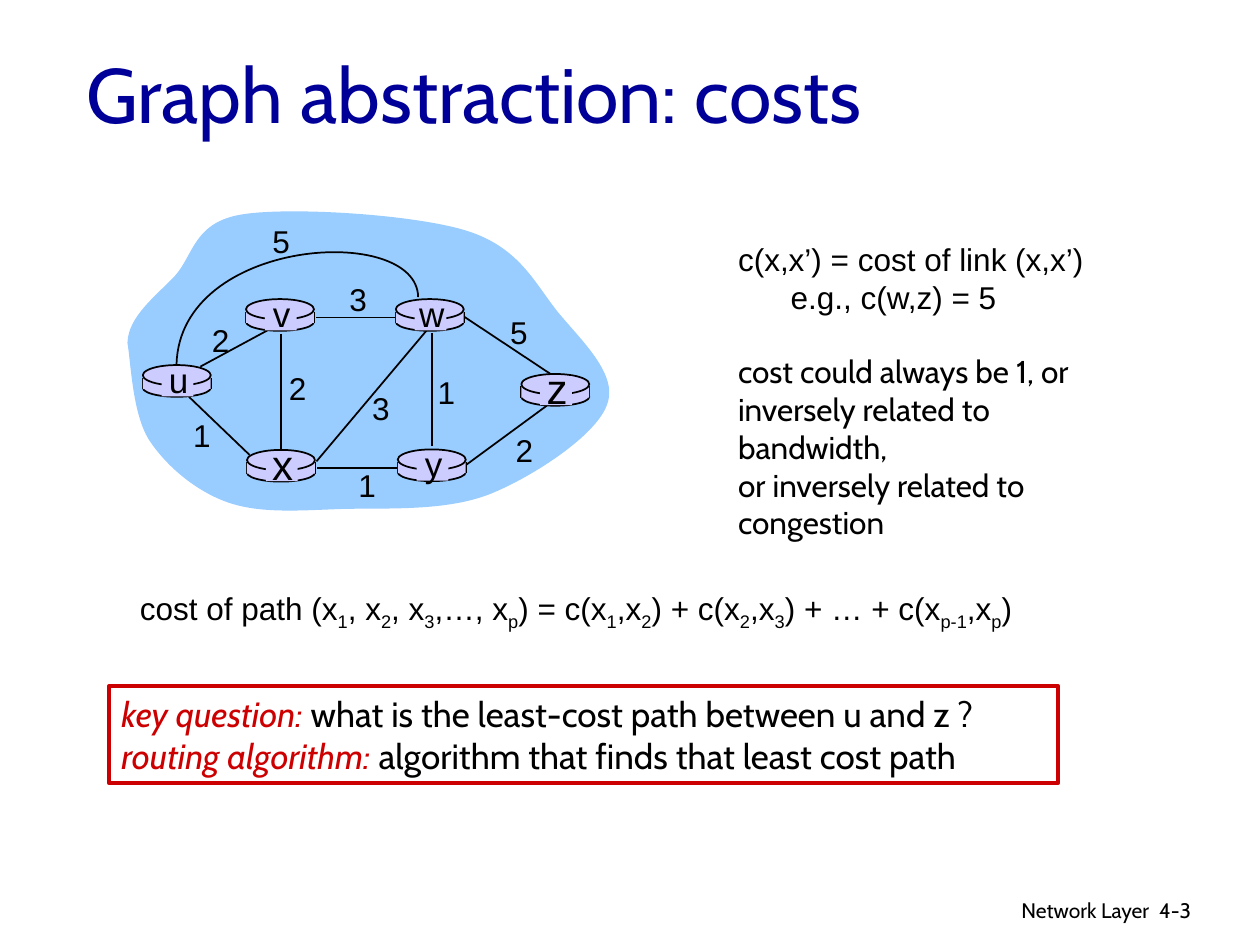
from pptx import Presentation
from pptx.dml.color import RGBColor
from pptx.enum.shapes import MSO_CONNECTOR as LINK, MSO_SHAPE as SHAPE
from pptx.enum.text import MSO_ANCHOR as ANCHOR, PP_ALIGN as ALIGN
from pptx.oxml.ns import qn
from pptx.util import Cm, Pt
from lxml.etree import SubElement

BLACK = RGBColor(0x00, 0x00, 0x00)
NAVY = RGBColor(0x00, 0x00, 0x99)
RED = RGBColor(0xCC, 0x00, 0x00)
SKY = RGBColor(0x99, 0xCC, 0xFF)
LILAC = RGBColor(0xCC, 0xCC, 0xFF)

deck = Presentation()
deck.slide_width, deck.slide_height = Cm(25.4), Cm(19.05)
slide = deck.slides.add_slide(deck.slide_layouts[6])
shapes = slide.shapes


def write(place, text, size, face, color=BLACK, align=ALIGN.LEFT, wrap=True):
    box = shapes.add_textbox(*[Cm(n) for n in place])
    frame = box.text_frame
    frame.word_wrap = wrap
    frame.text = text
    for para in frame.paragraphs:
        para.alignment = align
        for run in para.runs:
            run.font.size, run.font.name = Pt(size), face
            run.font.color.rgb = color
    return frame


def trace(start, curves):
    spots = [spot for curve in curves for spot in curve]
    form = shapes.build_freeform(Cm(start[0]), Cm(start[1]), scale=1.0)
    form.add_line_segments([(Cm(x), Cm(y)) for x, y in spots], close=spots[-1] == start)
    shape = form.convert_to_shape()
    shape.shadow.inherit = False
    steps = list(shape._element.iter(qn("a:lnTo")))
    for i in range(0, 3 * len(curves), 3):
        bend = steps[i].makeelement(qn("a:cubicBezTo"))
        steps[i].addprevious(bend)
        for step in steps[i:i + 3]:
            bend.append(step[0])
            step.getparent().remove(step)
    return shape


write((15.37, 17.96, 8.05, 0.79), "Network Layer", 12, "Cabin", align=ALIGN.RIGHT)
write((23.12, 17.96, 1.88, 0.76), "4-3", 12, "Cabin")
title = write((1.49, 0.61, 21.59, 2.51), "Graph abstraction: costs", 44, "Cabin", NAVY)
title.vertical_anchor = ANCHOR.MIDDLE

cloud = trace((2.57, 6.91), [
    ((2.59, 6.38), (3.12, 5.99), (3.53, 5.56)),
    ((3.91, 5.13), (3.91, 4.47), (4.9, 4.32)),
    ((5.87, 4.17), (8.33, 4.32), (9.4, 4.65)),
    ((10.46, 4.98), (10.77, 5.69), (11.23, 6.27)),
    ((11.71, 6.86), (12.47, 7.54), (12.24, 8.15)),
    ((12.04, 8.76), (10.77, 9.6), (9.88, 9.96)),
    ((8.99, 10.31), (7.82, 10.24), (6.93, 10.26)),
    ((6.07, 10.29), (5.26, 10.36), (4.6, 10.13)),
    ((3.96, 9.91), (3.35, 9.4), (3, 8.86)),
    ((2.67, 8.33), (2.64, 7.32), (2.57, 6.91)),
])
cloud.fill.solid()
cloud.fill.fore_color.rgb = SKY
cloud.line.fill.background()

nodes = [
    ("u", 2.88, 7.64, 20), ("x", 4.98, 9.35, 24), ("v", 4.96, 6.31, 20),
    ("w", 7.98, 6.31, 20), ("y", 8.02, 9.34, 20), ("z", 10.51, 7.82, 24),
]
edges = [
    (4.04, 7.39, 5.54, 6.58), (8.71, 6.71, 8.71, 8.99), (5.66, 6.73, 5.66, 9.09),
    (6.38, 9.3, 8.61, 6.65), (9.4, 9.37, 11.02, 8.18), (8.03, 9.43, 6.4, 9.43),
    (5.03, 9.17, 3.81, 8), (8, 6.4, 6.38, 6.4), (11.1, 7.54, 9.35, 6.38),
]
sides = [(x + dx, y - 0.03, x + dx, y + 0.2) for _, x, y, _ in nodes for dx in (0, 1.37)]
for ends in edges[:1] + sides + edges[1:]:
    line = shapes.add_connector(LINK.STRAIGHT, *[Cm(n) for n in ends])
    line.line.color.rgb, line.line.width = BLACK, Pt(1)
    SubElement(line._element.spPr, qn("a:effectLst"))

parts = [
    (SHAPE.OVAL, 0, 0, 1.37, 0.36, True),
    (SHAPE.RECTANGLE, 0, -0.03, 1.37, 0.23, False),
    (SHAPE.OVAL, 0, -0.28, 1.37, 0.41, True),
    (SHAPE.RECTANGLE, 0.38, -0.23, 0.64, 0.58, False),
]
for name, x, y, size in nodes:
    for kind, dx, dy, w, h, edged in parts:
        part = shapes.add_shape(kind, Cm(x + dx), Cm(y + dy), Cm(w), Cm(h))
        part.shadow.inherit = False
        part.fill.solid()
        part.fill.fore_color.rgb = LILAC
        if edged:
            part.line.color.rgb, part.line.width = BLACK, Pt(1)
        else:
            part.line.fill.background()
    high = 1.09 if size == 20 else 1.27
    write((x + 0.22, y - high / 2, 1, high), name, size, "Arial", align=ALIGN.CENTER, wrap=False)

arc = trace((8.43, 5.99), [((8.41, 4.5), (3.63, 4.78), (3.56, 7.34))])
arc.fill.background()
arc.line.color.rgb, arc.line.width = BLACK, Pt(1)

costs = [
    ("2", 4.02, 6.35), ("2", 5.57, 7.32), ("1", 3.64, 8.26), ("3", 7.25, 7.72),
    ("1", 6.97, 9.28), ("1", 8.57, 7.39), ("2", 10.14, 8.56), ("5", 10.03, 6.19),
    ("3", 6.79, 5.53), ("5", 5.24, 4.35),
]
for cost, x, y in costs:
    write((x, y, 0.86, 1.02), cost, 18, "Arial", align=ALIGN.CENTER, wrap=False)

facts = [
    "c(x,x’) = cost of link (x,x’)", "e.g., c(w,z) = 5", "cost could always be 1, or",
    "inversely related to bandwidth,", "or inversely related to", "congestion",
]
note = write((14.63, 4.71, 8.48, 5.59), "\n".join(facts), 18, "Arial")
note.paragraphs[1]._p.get_or_add_pPr().set("marL", str(Cm(1.06)))
note.paragraphs[2].space_before = Pt(21)
for para in note.paragraphs[2:]:
    para.runs[0].font.name = "Cabin"

sums = write((2.57, 11.75, 18.77, 1.02), "", 18, "Arial").paragraphs[0]
terms = "cost of path (x|1|, x|2|, x|3|,…, x|p|) = c(x|1|,x|2|) + c(x|2|,x|3|) + … + c(x|p-1|,x|p|)"
for i, term in enumerate(terms.split("|")):
    run = sums.add_run()
    run.text = term
    run.font.size, run.font.name = Pt(18), "Arial"
    run.font.color.rgb = BLACK
    if i % 2:
        run._r.get_or_add_rPr().set("baseline", "-25000")

panel = shapes.add_shape(SHAPE.RECTANGLE, Cm(2.2), Cm(13.83), Cm(19.13), Cm(1.96))
panel.shadow.inherit = False
panel.fill.background()
panel.line.color.rgb, panel.line.width = RED, Pt(2.25)
frame = panel.text_frame
frame.word_wrap = True
frame.text = "\n"
asks = [
    ("key question:", " what is the least-cost path between u and z ?"),
    ("routing algorithm:", " algorithm that finds that least cost path"),
]
for para, ask in zip(frame.paragraphs, asks):
    para.alignment = ALIGN.LEFT
    for text, color in zip(ask, (RED, BLACK)):
        run = para.add_run()
        run.text = text
        run.font.size, run.font.name = Pt(20), "Cabin"
        run.font.color.rgb = color
        run.font.italic = color == RED

deck.save("out.pptx")
